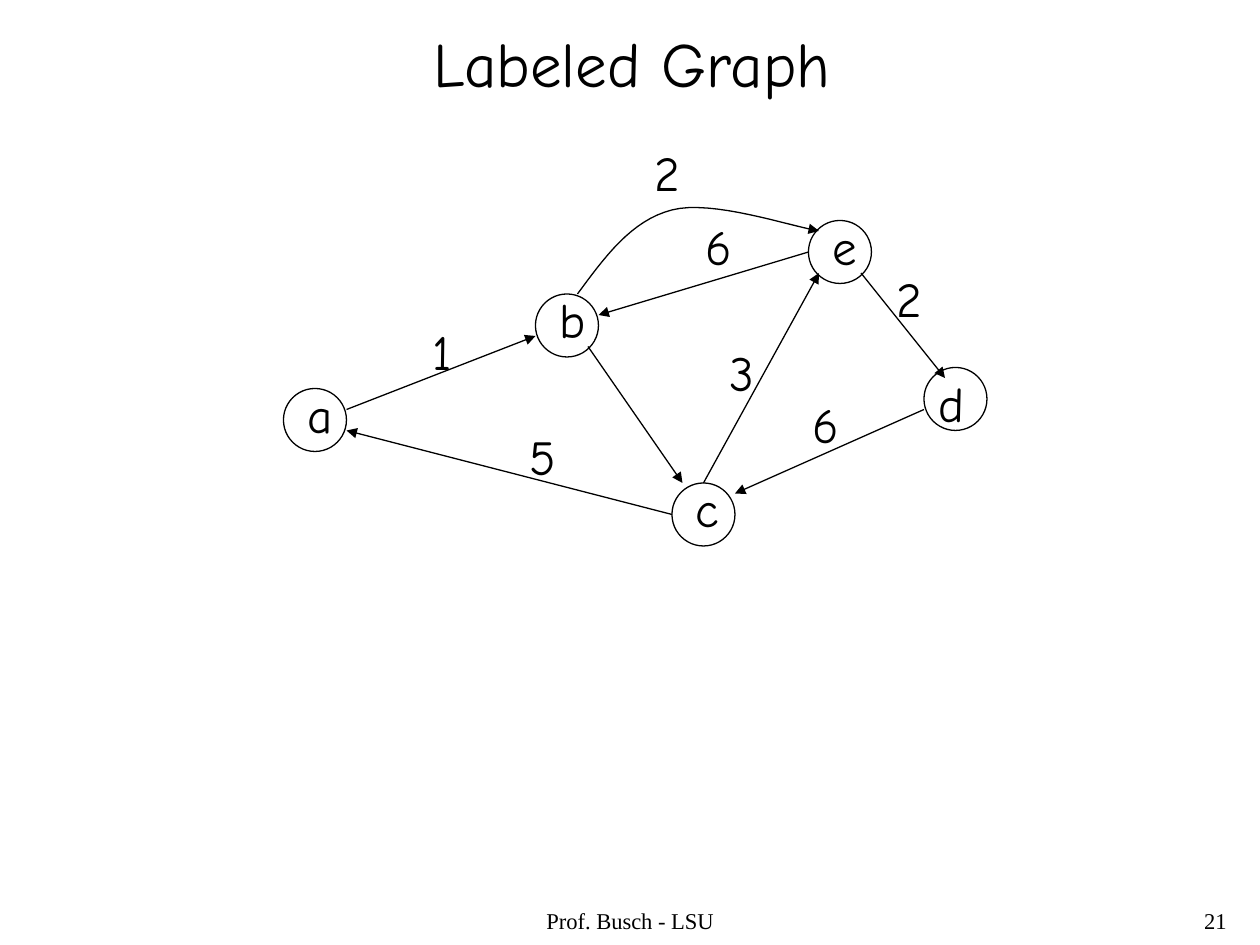
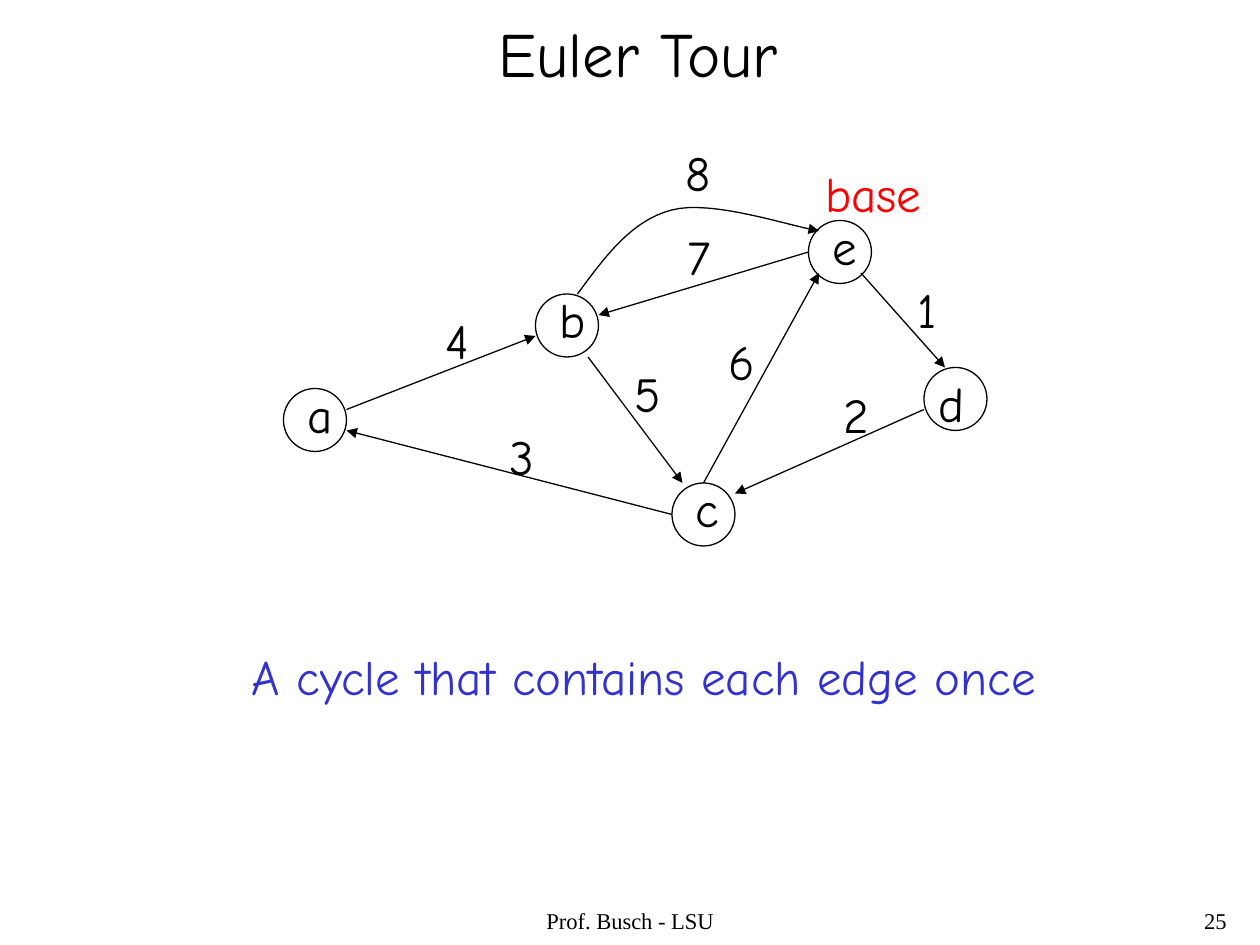
from lxml.etree import SubElement
from pptx import Presentation
from pptx.dml.color import RGBColor
from pptx.enum.shapes import MSO_CONNECTOR as Link, MSO_SHAPE as Form
from pptx.enum.text import MSO_ANCHOR as Anchor, MSO_AUTO_SIZE as Fit, PP_ALIGN as Align
from pptx.oxml.ns import qn
from pptx.util import Cm, Pt

BLACK, RED, BLUE = "000000", "FF0000", "3333CC"
HAND, SERIF = "Comic Neue", "Times New Roman"
STEP = 2.54 / 12
NODE_SIZE = 6
FOOTER = "Prof. Busch - LSU"

NODES = {"a": (27, 37), "b": (51, 28), "c": (64, 46), "d": (88, 35), "e": (77, 21)}
LETTER_SHIFT = {"d": (0.2, 0)}
EDGES = {
    "ab": ((33, 39), (51, 32)),
    "bc": ((56, 33), (65, 46)),
    "ce": ((67, 46), (78, 26)),
    "dc": ((88, 39), (70, 47)),
    "ca": ((64, 49), (33, 41)),
    "ed": ((82, 26), (90, 36)),
    "eb": ((77, 24), (57, 30)),
}
ARC = [
    ((55, 28), (57.6, 24.5), (60.1, 21), (64, 20)),
    ((64, 20), (67.8, 19), (75.1, 21.5), (78, 22)),
]
WIDTHS = {"1": 4.2, "a": 4.8, "2": 4.8, "d": 4.8, "8": 4.8, "c": 4.6, "7": 4.6,
          "e": 4.7, "3": 4.7, "4": 4.7, "b": 4.9, "5": 4.9, "6": 4.9}

PAGES = [
    {
        "title": "Labeled Graph", "title_at": (40.1, 1.7, 40.3, 8.4), "number": "21",
        "moved_edges": {},
        "weights": [("1", 40, 30), ("3", 68.3, 32), ("5", 49.2, 40), ("6", 76.2, 37),
                    ("2", 84.2, 25), ("6", 66, 20), ("2", 61.2, 13)],
        "remarks": [],
    },
    {
        "title": "Euler Tour", "title_at": (46.3, 0.75, 29.5, 8.4), "number": "25",
        "moved_edges": {"bc": ((56, 34), (65, 46)), "ed": ((82, 26), (90, 35))},
        "weights": [("1", 86.2, 26), ("2", 79.2, 36), ("3", 47.3, 40), ("4", 41.2, 29),
                    ("5", 59.2, 34), ("6", 68.2, 31), ("7", 64.3, 21), ("8", 64.1, 13)],
        "remarks": [("base", 77.4, 15, 12, RED),
                    ("A cycle that contains each edge once", 22.8, 61, 78, BLUE)],
    },
]


def color(value):
    return RGBColor.from_string(value)


def grid(*steps):
    return [Cm(step * STEP) for step in steps]


def write(box, text, size, font=HAND, ink=BLACK, align=Align.LEFT):
    frame = box.text_frame
    frame.text = text
    frame.vertical_anchor = Anchor.TOP
    para = frame.paragraphs[0]
    para.alignment = align
    para.font.name, para.font.size = font, Pt(size)
    para.font.color.rgb = color(ink)
    return frame


def add_label(page, text, left, top, width, ink=BLACK):
    box = page.shapes.add_textbox(*grid(left, top, width, 6.8))
    frame = write(box, text, 28, ink=ink)
    frame.word_wrap = False
    frame.auto_size = Fit.SHAPE_TO_FIT_TEXT


def add_footer(page, text, left, width, align):
    box = page.shapes.add_textbox(*grid(left, 86.05, width, 4))
    frame = write(box, text, 12.9, SERIF, align=align)
    frame.word_wrap = True
    frame.paragraphs[0].line_spacing = 0.9


def draw_outline(shape, arrow=False):
    shape.line.color.rgb = color(BLACK)
    shape.line.width = Pt(0.75)
    if arrow:
        SubElement(shape.line._get_or_add_ln(), qn("a:tailEnd"), type="triangle")


def add_node(page, left, top):
    circle = page.shapes.add_shape(Form.OVAL, *grid(left, top, NODE_SIZE, NODE_SIZE))
    circle.shadow.inherit = False
    circle.fill.background()
    draw_outline(circle)


def add_edge(page, start, end):
    edge = page.shapes.add_connector(Link.STRAIGHT, *grid(*start, *end))
    draw_outline(edge, arrow=True)
    SubElement(edge._element.spPr, qn("a:effectLst"))


def bezier(curve, t):
    weights = ((1 - t) ** 3, 3 * t * (1 - t) ** 2, 3 * t * t * (1 - t), t ** 3)
    return [sum(w * value for w, value in zip(weights, axis)) for axis in zip(*curve)]


def add_arc(page, curves, pieces=16):
    points = [grid(*bezier(curve, i / pieces)) for curve in curves for i in range(1, pieces + 1)]
    builder = page.shapes.build_freeform(*grid(*curves[0][0]))
    builder.add_line_segments(points, close=False)
    arc = builder.convert_to_shape()
    arc.shadow.inherit = False
    arc.fill.background()
    draw_outline(arc, arrow=True)


def add_title(page, text, place):
    title = page.shapes.title
    title.left, title.top, title.width, title.height = grid(*place)
    frame = write(title, text, 36)
    frame.word_wrap = False
    frame.auto_size = Fit.SHAPE_TO_FIT_TEXT


def build_page(deck, content):
    page = deck.slides.add_slide(deck.slide_layouts[5])
    add_title(page, content["title"], content["title_at"])
    add_footer(page, FOOTER, 41, 38, Align.CENTER)
    add_footer(page, content["number"], 93, 25, Align.RIGHT)
    for name, (left, top) in NODES.items():
        add_node(page, left, top)
        right, down = LETTER_SHIFT.get(name, (1.1, -1))
        add_label(page, name, left + right, top + down, WIDTHS[name])
    for start, end in (EDGES | content["moved_edges"]).values():
        add_edge(page, start, end)
    add_arc(page, ARC)
    for text, left, top in content["weights"]:
        add_label(page, text, left, top, WIDTHS[text])
    for remark in content["remarks"]:
        add_label(page, *remark)


def main():
    """Build the two graph slides and save the deck."""
    deck = Presentation()
    deck.slide_width, deck.slide_height = Cm(25.4), Cm(19.05)
    for content in PAGES:
        build_page(deck, content)
    deck.save("out.pptx")


if __name__ == "__main__":
    main()
